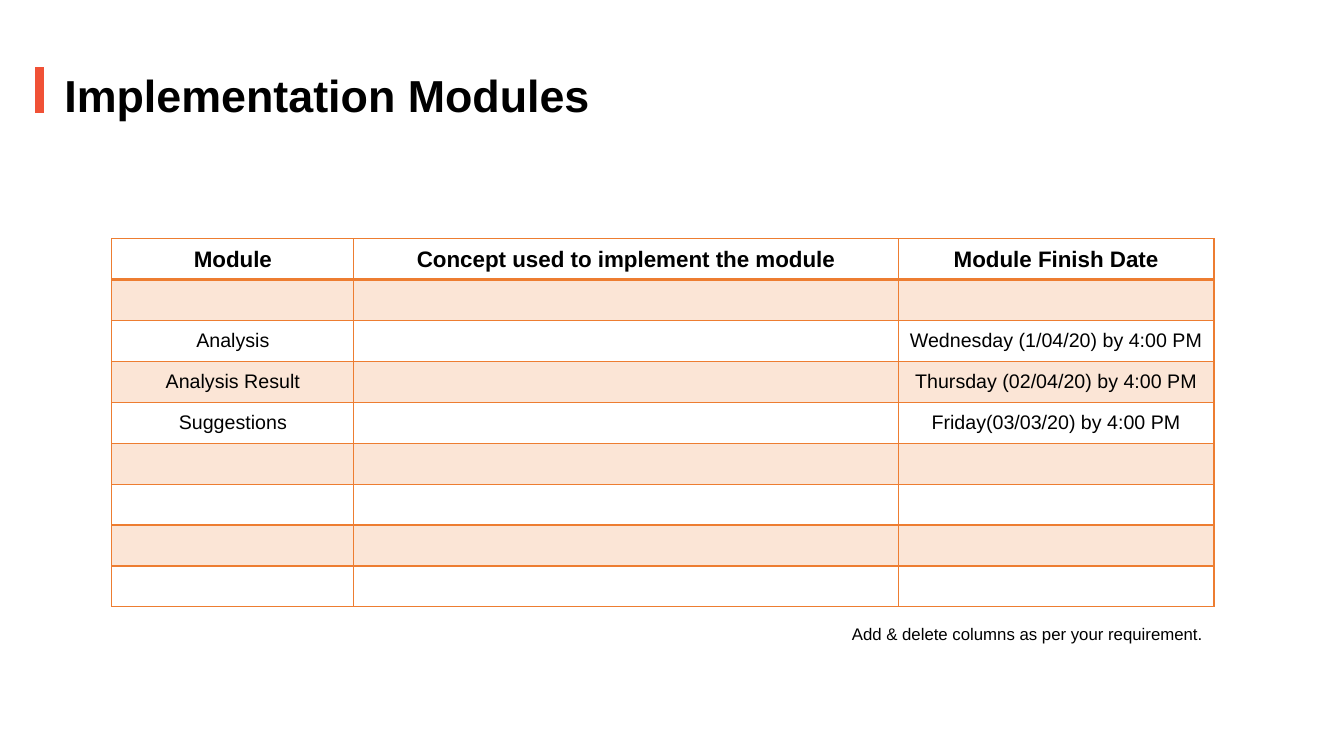
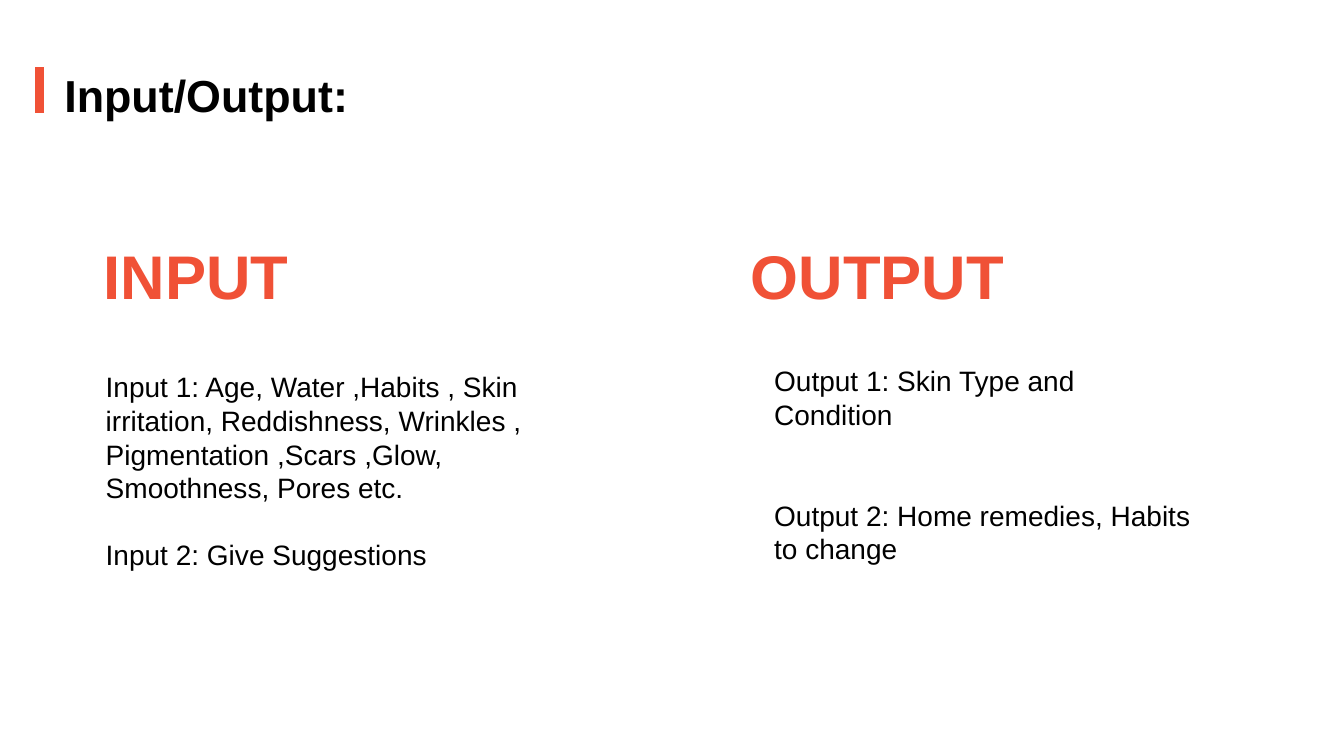
from pptx import Presentation
from pptx.dml.color import RGBColor as RGB
from pptx.enum.shapes import MSO_SHAPE as Shape
from pptx.enum.text import MSO_ANCHOR as Anchor, PP_ALIGN as Align
from pptx.oxml import parse_xml
from pptx.oxml.ns import nsdecls
from pptx.util import Inches, Pt

# Content
TITLES = ["Implementation Modules", "Input/Output:"]
ROWS = [
    ("Module", "Concept used to implement the module", "Module Finish Date"),
    ("", "", ""),
    ("Analysis", "", "Wednesday (1/04/20) by 4:00 PM"),
    ("Analysis Result", "", "Thursday (02/04/20) by 4:00 PM"),
    ("Suggestions", "", "Friday(03/03/20) by 4:00 PM"),
    ("", "", ""),
    ("", "", ""),
    ("", "", ""),
    ("", "", ""),
]
NOTE = "Add & delete columns as per your requirement."
# Heading, its box, body paragraphs, body box, blank lines between paragraphs
PARTS = [
    ("INPUT", (0.93, 2.31, 2.1, 0.84),
     ["Input 1: Age, Water ,Habits , Skin irritation, Reddishness, "
      "Wrinkles , Pigmentation ,Scars ,Glow, Smoothness, Pores etc.",
      "Input 2: Give Suggestions"], (0.95, 3.62, 4.39, 2.12), 1),
    ("OUTPUT", (7.35, 2.31, 2.75, 0.84),
     ["Output 1: Skin Type and Condition",
      "Output 2: Home remedies, Habits to change"], (7.58, 3.56, 4.39, 2.12), 2),
]

# Style
FONT = "Arial"
BLACK = RGB(0x00, 0x00, 0x00)
WHITE = RGB(0xFF, 0xFF, 0xFF)
RED = RGB(0xF0, 0x51, 0x36)
ORANGE = RGB(0xED, 0x7D, 0x31)
PEACH = RGB(0xFB, 0xE5, 0xD6)
WIDE, HIGH = 13.33, 7.5
GRID = (1.11, 2.37, 10.93, 3.65)
COLS = (2.4, 5.4, 3.13)
LINE = 24  # line pitch of body text, in points

deck = Presentation()
deck.slide_width, deck.slide_height = Inches(WIDE), Inches(HIGH)


def place(box):
    return [Inches(n) for n in box]


def style(frame, size, color=BLACK, bold=False, align=Align.LEFT):
    for para in frame.paragraphs:
        para.alignment = align
        for run in para.runs:
            font = run.font
            font.name, font.size, font.bold = FONT, Pt(size), bold
            font.color.rgb = color


def fill(shape, text, size, color=BLACK, bold=False):
    frame = shape.text_frame
    frame.word_wrap = True
    frame.vertical_anchor = Anchor.TOP
    frame.text = text
    style(frame, size, color, bold)
    return frame


def write(slide, box, *args):
    return fill(slide.shapes.add_textbox(*place(box)), *args)


def block(slide, box, color):
    shape = slide.shapes.add_shape(Shape.RECTANGLE, *place(box))
    shape.shadow.inherit = False
    shape.fill.solid()
    shape.fill.fore_color.rgb = color
    shape.line.fill.background()
    return shape


def start(title):
    slide = deck.slides.add_slide(deck.slide_layouts[6])
    bar = block(slide, (0.34, 0.66, 0.1, 0.47), RED)
    bar.line.color.rgb = WHITE
    bar.line.width = Pt(1)
    write(slide, (0.54, 0.62, 5.71, 0.64), title, 32, BLACK, True)
    return slide


def border(cell, sides):
    props = cell._tc.get_or_add_tcPr()
    for at, (side, width) in enumerate(sides.items()):
        props.insert(at, parse_xml(
            f'<a:ln{side} {nsdecls("a")} w="{Pt(width)}"><a:solidFill>'
            f'<a:srgbClr val="{ORANGE}"/></a:solidFill></a:ln{side}>'))


# Slide 1: module table
first = start(TITLES[0])
table = first.shapes.add_table(len(ROWS), len(COLS), *place(GRID)).table
for col, wide in zip(table.columns, COLS):
    col.width = Inches(wide)
for r, row in enumerate(ROWS):
    table.rows[r].height = Inches(GRID[3] / len(ROWS))
    for c, text in enumerate(row):
        cell = table.cell(r, c)
        cell.text = text
        cell.vertical_anchor = Anchor.MIDDLE
        cell.fill.solid()
        cell.fill.fore_color.rgb = PEACH if r % 2 else WHITE
        head = r == 0
        style(cell.text_frame, 16 if head else 14, bold=head, align=Align.CENTER)
        border(cell, {"L": 1, "R": 1, "T": 2.25 if r == 1 else 1,
                      "B": 2.25 if head else 1})
write(first, (8.35, 6.14, 3.91, 0.3), NOTE, 12)

# Slide 2: input and output
second = start(TITLES[1])
for name, top, lines, body, gap in PARTS:
    fill(block(second, top, WHITE), name, 44, RED, True)
    frame = write(second, body, "\n".join(lines), 20)
    for para in frame.paragraphs:
        para.line_spacing = Pt(LINE)
    frame.paragraphs[-1].space_before = Pt(gap * LINE)

deck.save("out.pptx")
